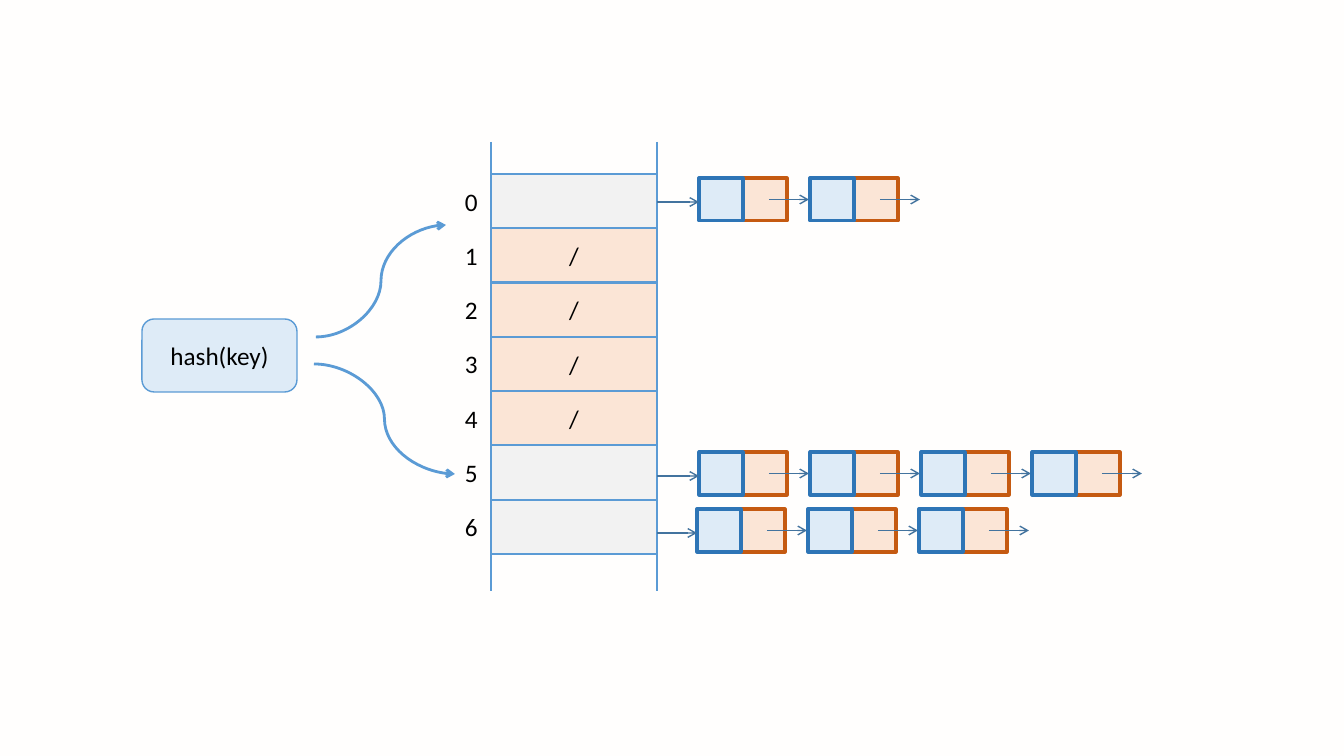
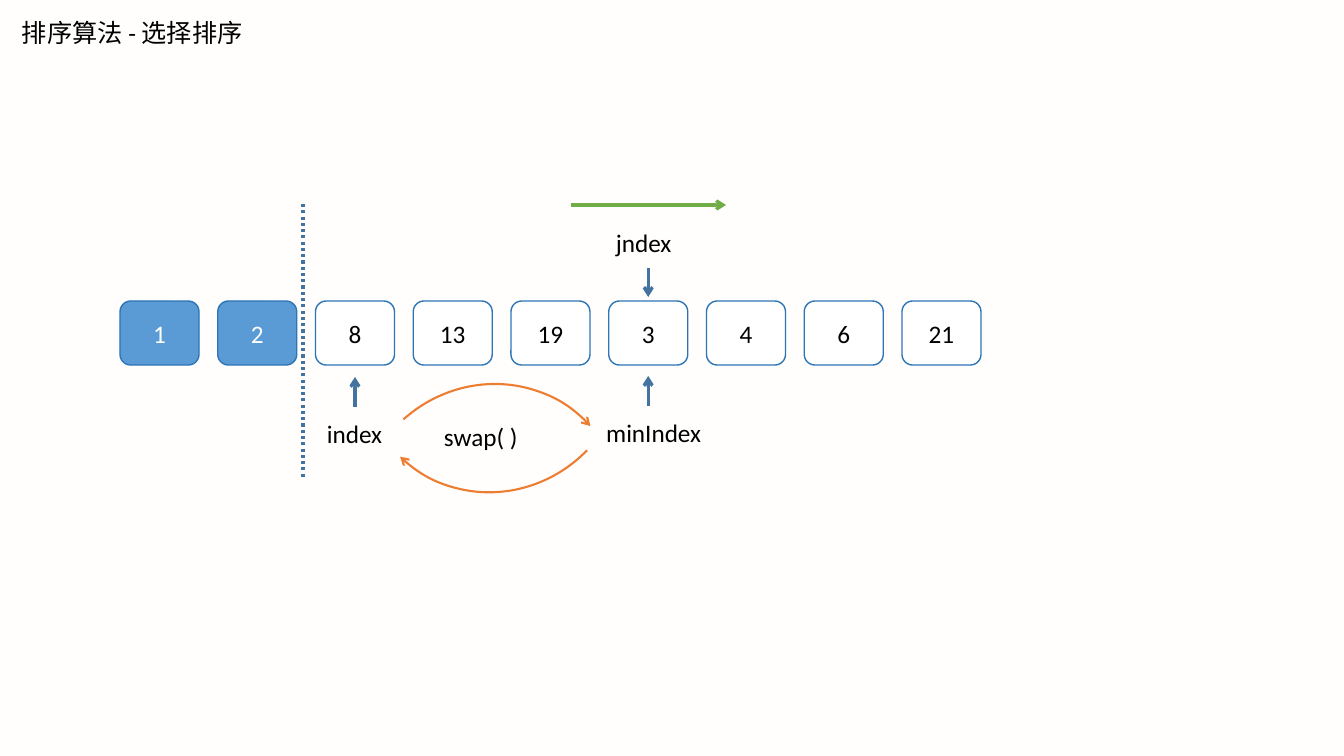
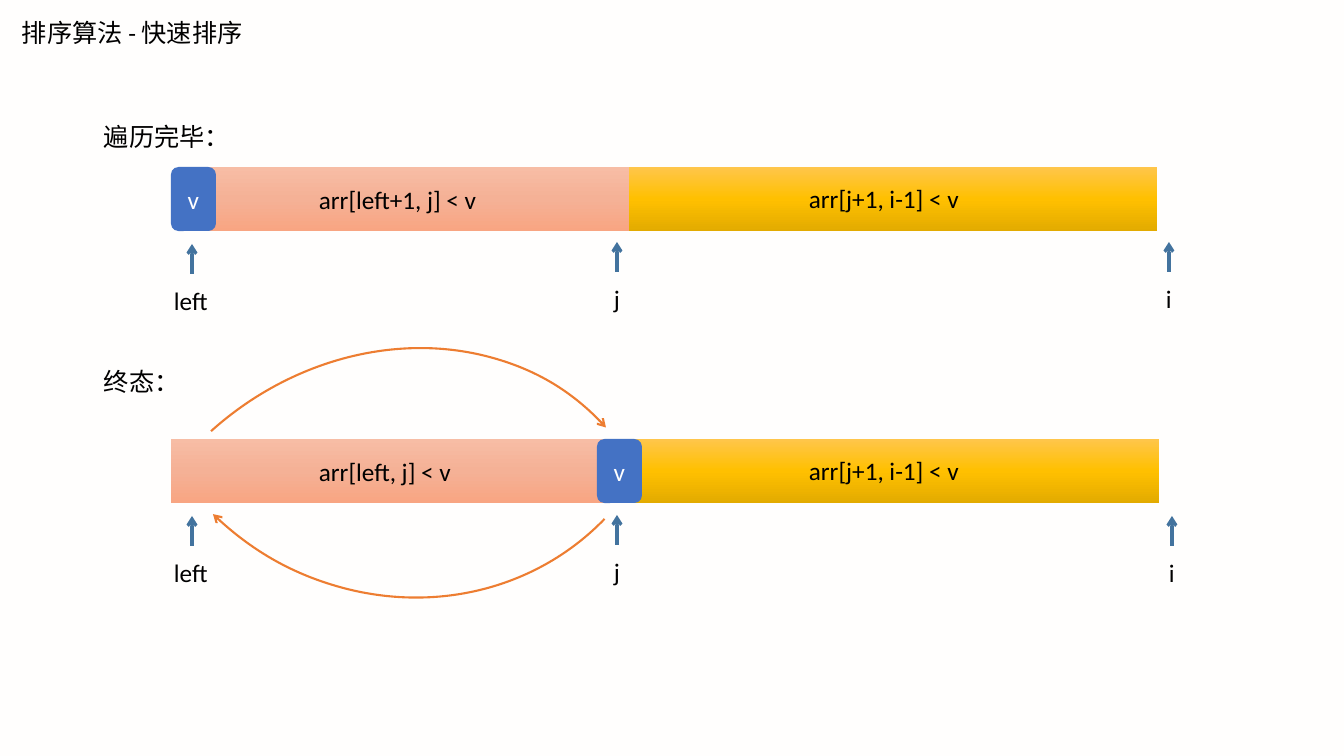
from copy import deepcopy
from dataclasses import dataclass

from lxml import etree
from pptx import Presentation
from pptx import util as u
from pptx.dml.color import RGBColor
from pptx.enum import dml, shapes, text
from pptx.oxml.ns import qn

PX = 914400 / 100.8


@dataclass(frozen=True)
class Theme:
    font: str = "Calibri"
    size: int = 18
    paper: str = "FFFEFD"
    ink: str = "000000"
    white: str = "FFFFFF"
    blue: str = "5B9BD5"
    pale_blue: str = "DEEBF7"
    mid_blue: str = "2E75B6"
    dark_blue: str = "43739E"
    royal: str = "4472C4"
    grey: str = "F2F2F2"
    peach: str = "FBE5D6"
    rust: str = "C55A11"
    orange: str = "ED7D31"
    green: str = "70AD47"
    coral: tuple = ("F7BDA5", "F5B196", "F8A582")
    amber: tuple = ("FFC64B", "FFC000", "E3AB00")


T = Theme()
SH = shapes.MSO_SHAPE

# ---- Content (all lengths in px) ----

# Hash table: chain of each bucket as (left, top, nodes), None when empty
BUCKETS = [(699, 178, 2), None, None, None, None, (699, 452, 4), (697, 509, 3)]
TABLE_LEFT, TABLE_RIGHT, TABLE_TOP, TABLE_BOTTOM = 491, 657, 174, 554
NODE_W, NODE_H, NODE_STEP = 44, 43, 111
HASH_CURVES = [((314, 364), (455, 474)), ((316, 337), (446, 225))]

# Selection sort
NUMBERS = [1, 2, 8, 13, 19, 3, 4, 6, 21]
SORTED = 2
ROW_LEFT, ROW_RIGHT, ROW_TOP, CELL_W, CELL_H = 120, 981, 301, 79, 64
CELL_POINTERS = [("index", 2, 377, 87, 38), ("minIndex", 5, 376, 137, 52)]
SWAP_ARCS = [((356, 386, 269, 260), 318), ((359, 230, 269, 260), 134)]

# Quick sort: bars as (left, right), pointers as (name, x, drop below the bar)
BAR_H, SPLIT, PIVOT_W = 64, 629, 45
STAGES = [
    dict(heading="遍历完毕：", heading_top=116, top=167, coral=(208, SPLIT),
         amber=(SPLIT, 1157), pivot=171, low="arr[left+1, j] < v", arcs=[],
         pointers=[("left", 192, 77), ("j", 617, 75), ("i", 1169, 75)]),
    dict(heading="终态：", heading_top=361, top=439, coral=(171, SPLIT),
         amber=(SPLIT, 1159), pivot=597, low="arr[left, j] < v",
         arcs=[((90, 364, 592, 523), 318), ((131, 36, 537, 570), 134)],
         pointers=[("left", 192, 77), ("j", 617, 76), ("i", 1172, 77)]),
]
HIGH = "arr[j+1, i-1] < v"


# ---- Drawing helpers ----

def emu(*values):
    return [u.Emu(round(v * PX)) for v in values]


def rgb(code):
    return RGBColor.from_string(code)


def write(tf, words, color, align):
    tf.word_wrap = True
    p = tf.paragraphs[0]
    p.text = str(words)
    p.alignment = align
    p.font.name, p.font.size = T.font, u.Pt(T.size)
    p.font.color.rgb = rgb(color)


def label(s, words, x, y, w):
    tf = s.shapes.add_textbox(*emu(x, y, w, 40)).text_frame
    tf.auto_size = text.MSO_AUTO_SIZE.SHAPE_TO_FIT_TEXT
    write(tf, words, T.ink, text.PP_ALIGN.LEFT)


def style_line(line, color, width, head=False):
    line.color.rgb = rgb(color)
    line.width = u.Pt(width)
    if head:
        etree.SubElement(line._get_or_add_ln(), qn("a:tailEnd"), type="arrow")


def gradient(sp, colors):
    sp.fill.gradient()
    sp.fill.gradient_angle = 270
    stops = sp._element.spPr.find(qn("a:gradFill")).find(qn("a:gsLst"))
    stops.insert(1, deepcopy(stops[0]))
    for i, (stop, color) in enumerate(zip(sp.fill.gradient_stops, colors)):
        stop.color.rgb = rgb(color)
        stop.position = i / 2


def shape(s, kind, box, fill=None, line=None, width=1.0, words=None,
          color=T.ink, head=False):
    sp = s.shapes.add_shape(kind, *emu(*box))
    sp.shadow.inherit = False
    if fill is None:
        sp.fill.background()
    elif isinstance(fill, tuple):
        gradient(sp, fill)
    else:
        sp.fill.solid()
        sp.fill.fore_color.rgb = rgb(fill)
    if line:
        style_line(sp.line, line, width, head)
    else:
        sp.line.fill.background()
    if words is not None:
        sp.text_frame.vertical_anchor = text.MSO_ANCHOR.MIDDLE
        write(sp.text_frame, words, color, text.PP_ALIGN.CENTER)
    return sp


def connect(s, start, end, color=T.dark_blue, width=1.0, head=True,
            kind=shapes.MSO_CONNECTOR.STRAIGHT):
    c = s.shapes.add_connector(kind, *emu(*start, *end))
    etree.SubElement(c._element.spPr, qn("a:effectLst"))
    style_line(c.line, color, width, head)
    return c


def arc(s, box, angle):
    shape(s, SH.ARC, box, line=T.orange, width=1.5, head=True).rotation = angle


def pointer(s, name, x, tip, w, indent):
    """Arrow pointing up to tip, with its name below."""
    label(s, name, x - indent, tip + 36, w)
    connect(s, (x, tip + 30), (x, tip), width=2.25)


def new_slide(prs, title=None):
    s = prs.slides.add_slide(prs.slide_layouts[6])
    s.background.fill.solid()
    s.background.fill.fore_color.rgb = rgb(T.paper)
    if title:
        label(s, title, 12, 12, 448)
    return s


# ---- Slides ----

def chain(s, left, top, count):
    mid = top + NODE_H / 2
    for i in range(count):
        x = left + i * NODE_STEP
        for dx, fill, line in [(NODE_W, T.peach, T.rust), (0, T.pale_blue, T.mid_blue)]:
            shape(s, SH.RECTANGLE, (x + dx, top, NODE_W, NODE_H), fill, line, 2.25)
        connect(s, (x + 70, mid), (x + 110, mid))
    connect(s, (TABLE_RIGHT, top + 24), (left, top + 24))


def hash_table(prs):
    s = new_slide(prs)
    shape(s, SH.ROUNDED_RECTANGLE, (142, 319, 155, 73), T.pale_blue, T.blue,
          words="hash(key)")
    for start, end in HASH_CURVES:
        connect(s, start, end, T.blue, 2, kind=shapes.MSO_CONNECTOR.CURVE)
    for x in (TABLE_LEFT, TABLE_RIGHT):
        connect(s, (x, 142), (x, 591), T.blue, 1.5, head=False)
    row_h = (TABLE_BOTTOM - TABLE_TOP) / len(BUCKETS)
    for i, nodes in enumerate(BUCKETS):
        y = TABLE_TOP + i * row_h
        shape(s, SH.RECTANGLE, (TABLE_LEFT, y, TABLE_RIGHT - TABLE_LEFT, row_h),
              T.grey if nodes else T.peach, T.blue, 1.5, None if nodes else "/")
        label(s, i, 455, y + 7, 34)
        if nodes:
            chain(s, *nodes)


def selection_sort(prs):
    s = new_slide(prs, "排序算法 - 选择排序")
    step = (ROW_RIGHT - ROW_LEFT - CELL_W) / (len(NUMBERS) - 1)
    centers = [ROW_LEFT + CELL_W / 2 + i * step for i in range(len(NUMBERS))]
    for i, (number, x) in enumerate(zip(NUMBERS, centers)):
        fill, color = (T.blue, T.white) if i < SORTED else (T.white, T.ink)
        shape(s, SH.ROUNDED_RECTANGLE, (x - CELL_W / 2, ROW_TOP, CELL_W, CELL_H),
              fill, T.mid_blue, words=number, color=color)
    border = connect(s, (303, 204), (303, 478), width=2.25, head=False)
    border.line.dash_style = dml.MSO_LINE.ROUND_DOT
    for name, i, tip, w, indent in CELL_POINTERS:
        pointer(s, name, centers[i], tip, w, indent)
    # Scanning index above the row
    label(s, "jndex", 606, 222, 87)
    connect(s, (centers[5], 268), (centers[5], 297), width=2.25)
    connect(s, (571, 205), (726, 205), T.green, 2.25)
    for box, angle in SWAP_ARCS:
        arc(s, box, angle)
    label(s, "swap( )", 434, 416, 108)


def quick_sort(prs):
    s = new_slide(prs, "排序算法 - 快速排序")
    for stage in STAGES:
        top = stage["top"]
        label(s, stage["heading"], 94, stage["heading_top"], 448)
        for (left, right), fill in [(stage["coral"], T.coral), (stage["amber"], T.amber)]:
            shape(s, SH.RECTANGLE, (left, top, right - left, BAR_H), fill)
        label(s, stage["low"], 309, top + 12, 228)
        label(s, HIGH, 799, top + 11, 269)
        for name, x, drop in stage["pointers"]:
            w, indent = (68, 28) if name == "left" else (38, 13)
            pointer(s, name, x, top + drop, w, indent)
        for box, angle in stage["arcs"]:
            arc(s, box, angle)
        shape(s, SH.ROUNDED_RECTANGLE, (stage["pivot"], top, PIVOT_W, BAR_H),
              T.royal, words="v", color=T.white)


def main():
    prs = Presentation()
    prs.slide_width, prs.slide_height = emu(1344, 756)
    hash_table(prs)
    selection_sort(prs)
    quick_sort(prs)
    prs.save("out.pptx")


if __name__ == "__main__":
    main()
